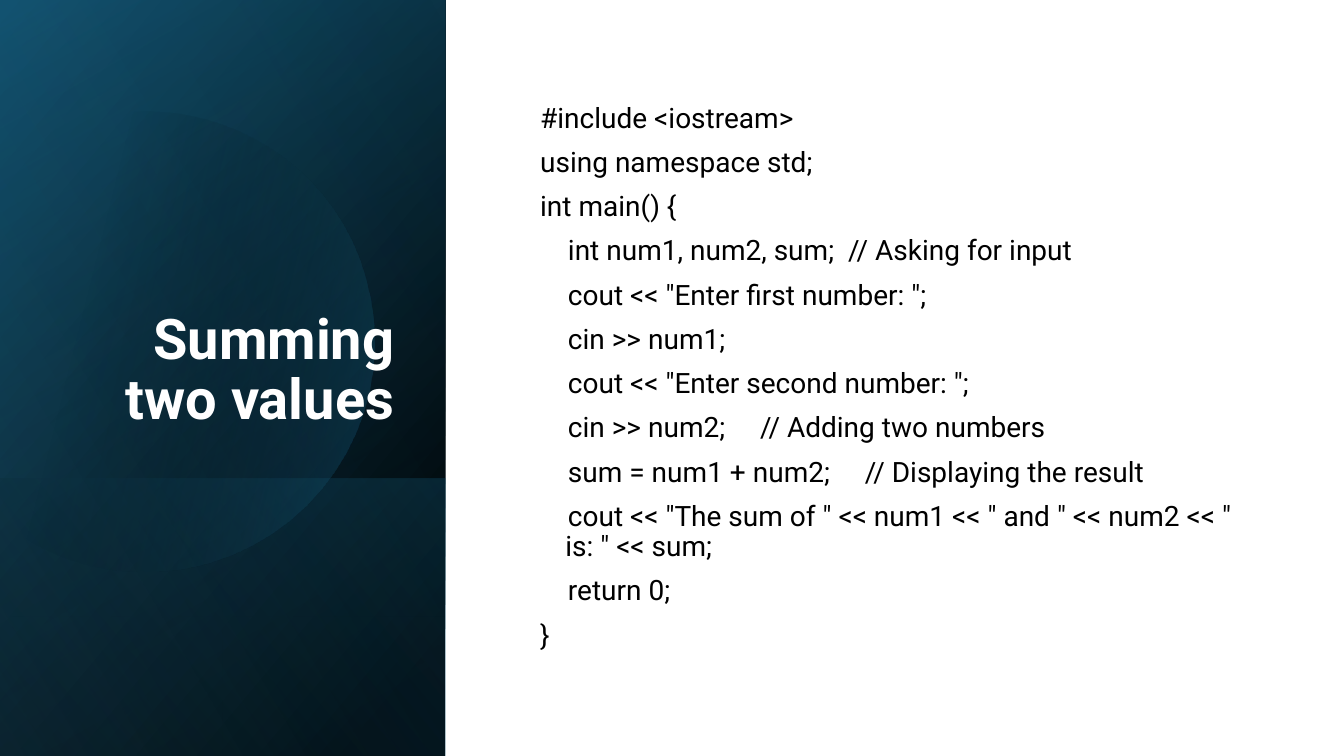
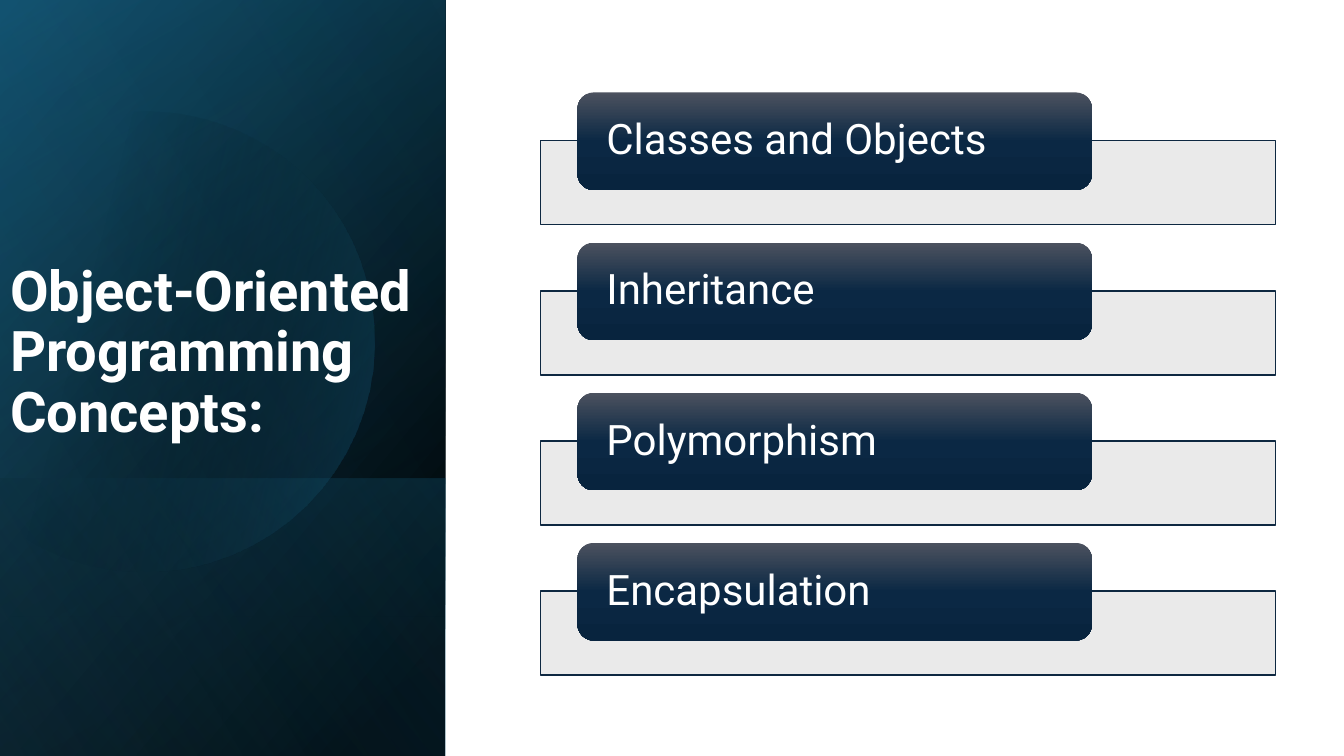
from lxml import etree
from pptx import Presentation
from pptx.dml.color import RGBColor
from pptx.enum.shapes import MSO_SHAPE
from pptx.enum.text import MSO_ANCHOR, MSO_AUTO_SIZE, PP_ALIGN
from pptx.oxml.ns import qn
from pptx.util import Pt

RECT, ROUNDED = MSO_SHAPE.RECTANGLE, MSO_SHAPE.ROUNDED_RECTANGLE
MIDDLE, BOTTOM = MSO_ANCHOR.MIDDLE, MSO_ANCHOR.BOTTOM
LEFT, RIGHT = PP_ALIGN.LEFT, PP_ALIGN.RIGHT
NO_FIT = MSO_AUTO_SIZE.NONE

EMU_PER_PX = 9525
WIDTH, HEIGHT = 1280, 720
PANEL_WIDTH = 424
CURVE_STEPS = 16

BASE_GLOW = [(8, "000000", 100), (100, "104862", 100)]
TEAL_GLOW = [(0, "000000", 0), (99, "156082", 46)]
LOWER_GLOW = [(2, "156082", 29), (100, "000000", 30)]
DISC_GLOW = [(29, "000000", 0), (100, "156082", 43)]
SKY_GLOW = [(0, "000000", 0), (99, "46B1E1", 11)]
TAB_SHEEN = [(0, "4C525F", 100), (50, "0B2844", 100), (100, "08243E", 100)]

DISC_START = (143, 106)
DISC_SEGMENTS = [
    [(236, 108), (322, 170), (348, 264)],
    [(382, 381), (315, 502), (199, 536)],
    [(126, 557), (51, 539), (-3, 493)],
    [(-14, 483)],
    [(-14, 168)],
    [(0, 155)],
    [(22, 137), (48, 123), (77, 114)],
    [(99, 108), (121, 106), (143, 106)],
]

SUM_PROGRAM = """#include <iostream>
using namespace std;
int main() {
    int num1, num2, sum;  // Asking for input
    cout << "Enter first number: ";
    cin >> num1;
    cout << "Enter second number: ";
    cin >> num2;     // Adding two numbers
    sum = num1 + num2;     // Displaying the result
    cout << "The sum of " << num1 << " and " << num2 << " is: " << sum;
    return 0;
}"""

CONCEPTS = ["Classes and Objects", "Inheritance", "Polymorphism", "Encapsulation"]


def px(*lengths):
    """Turn pixel lengths into EMU."""
    return [round(length * EMU_PER_PX) for length in lengths]


def colour(hex_code):
    """Turn a hex string into a colour."""
    return RGBColor.from_string(hex_code)


def bezier(start, first, second, end):
    """Return points along a cubic curve, without its start."""
    points = []
    for step in range(1, CURVE_STEPS + 1):
        t = step / CURVE_STEPS
        weights = ((1 - t) ** 3, 3 * t * (1 - t) ** 2, 3 * t * t * (1 - t), t ** 3)
        corners = (start, first, second, end)
        points.append(tuple(sum(w * c[axis] for w, c in zip(weights, corners))
                            for axis in (0, 1)))
    return points


class Deck:
    """Hold the deck's style and the slide being built."""

    font = "Roboto"

    def __init__(self):
        """Open an empty widescreen presentation."""
        self.prs = Presentation()
        self.prs.slide_width, self.prs.slide_height = px(WIDTH, HEIGHT)
        self.slide = None

    def new_slide(self, title, box, align):
        """Start a slide with the dark side panel and its title."""
        self.slide = self.prs.slides.add_slide(self.prs.slide_layouts[5])
        background = self.slide.background.fill
        background.solid()
        background.fore_color.rgb = colour("FFFFFF")
        self.panel_layer(0, HEIGHT, BASE_GLOW, 50)
        self.panel_layer(0, HEIGHT, TEAL_GLOW, 30)
        self.panel_layer(456, 264, LOWER_GLOW, 130)
        self.disc()
        self.panel_layer(0, HEIGHT, SKY_GLOW, 120)
        heading = self.slide.shapes.title
        heading.element.getparent().append(heading.element)
        heading.left, heading.top, heading.width, heading.height = px(*box)
        self.set_text(heading, title, 40, "FFFFFF", BOTTOM, align, bold=True)

    def set_text(self, shape, text, size, hex_code, anchor, align=LEFT, bold=False):
        """Set a shape's text and its format."""
        frame = shape.text_frame
        frame.text = text
        frame.word_wrap = True
        frame.auto_size = NO_FIT
        frame.vertical_anchor = anchor
        for paragraph in frame.paragraphs:
            paragraph.alignment = align
            paragraph.line_spacing = 0.9
            for run in paragraph.runs:
                run.font.name = self.font
                run.font.size = Pt(size)
                run.font.bold = bold
                run.font.color.rgb = colour(hex_code)
        return frame

    def gradient(self, shape, stops, angle):
        """Fill a shape with stops of position, colour and opacity."""
        shape.shadow.inherit = False
        shape.line.fill.background()
        shape.fill.gradient()
        shape.fill.gradient_angle = -angle % 360
        stop_list = shape.element.spPr.find(qn("a:gradFill")).find(qn("a:gsLst"))
        for default_stop in list(stop_list):
            stop_list.remove(default_stop)
        for position, hex_code, opacity in stops:
            stop = etree.SubElement(stop_list, qn("a:gs"), pos=str(position * 1000))
            tint = etree.SubElement(stop, qn("a:srgbClr"), val=str(colour(hex_code)))
            if opacity < 100:
                etree.SubElement(tint, qn("a:alpha"), val=str(opacity * 1000))

    def panel_layer(self, top, height, stops, angle):
        """Add a turned, mirrored gradient over part of the side panel."""
        left = (PANEL_WIDTH - height) // 2
        layer = self.slide.shapes.add_shape(
            RECT, *px(left, top - left, height, PANEL_WIDTH))
        layer.rotation = 90
        layer.element.spPr.find(qn("a:xfrm")).set("flipH", "1")
        self.gradient(layer, stops, angle)

    def disc(self):
        """Add the cut disc on the side panel."""
        points = [DISC_START]
        for segment in DISC_SEGMENTS:
            points += bezier(points[-1], *segment) if len(segment) == 3 else segment
        builder = self.slide.shapes.build_freeform(*px(*points[0]), scale=1.0)
        builder.add_line_segments([px(*point) for point in points[1:]], close=True)
        self.gradient(builder.convert_to_shape(), DISC_GLOW, 14)

    def code(self, listing, box):
        """Add a code listing with hanging indents."""
        area = self.slide.shapes.add_textbox(*px(*box))
        frame = self.set_text(area, listing, 20, "000000", MIDDLE)
        indent = px(24)[0]
        for number, paragraph in enumerate(frame.paragraphs):
            properties = paragraph._p.get_or_add_pPr()
            properties.set("marL", str(indent))
            properties.set("indent", str(-indent))
            if number:
                paragraph.space_before = Pt(10)

    def bar(self, box):
        """Add a pale outlined bar."""
        strip = self.slide.shapes.add_shape(RECT, *px(*box))
        strip.shadow.inherit = False
        strip.fill.solid()
        strip.fill.fore_color.rgb = colour("E8E8E8")
        tint = strip.element.spPr.find(qn("a:solidFill")).find(qn("a:srgbClr"))
        etree.SubElement(tint, qn("a:alpha"), val="90000")
        strip.line.color.rgb = colour("0E2841")
        strip.line.width = Pt(1)

    def tab(self, label, box):
        """Add a rounded dark label."""
        plate = self.slide.shapes.add_shape(ROUNDED, *px(*box))
        self.gradient(plate, TAB_SHEEN, 90)
        frame = self.set_text(plate, label, 30, "FFFFFF", MIDDLE)
        frame.margin_left, frame.margin_right = px(23, 23)
        frame.margin_top = frame.margin_bottom = 0


def main():
    """Build both slides and save them."""
    deck = Deck()
    deck.new_slide("Summing two values", (49, 61, 336, 355), RIGHT)
    deck.code(SUM_PROGRAM, (505, 68, 688, 583))

    deck.new_slide("Object-Oriented Programming Concepts:", (0, 192, 424, 236), LEFT)
    for row, concept in enumerate(CONCEPTS):
        top = 88 + row * 143
        deck.bar((515, top + 46, 700, 80))
        deck.tab(concept, (550, top, 490, 93))
    deck.prs.save("out.pptx")


if __name__ == "__main__":
    main()
